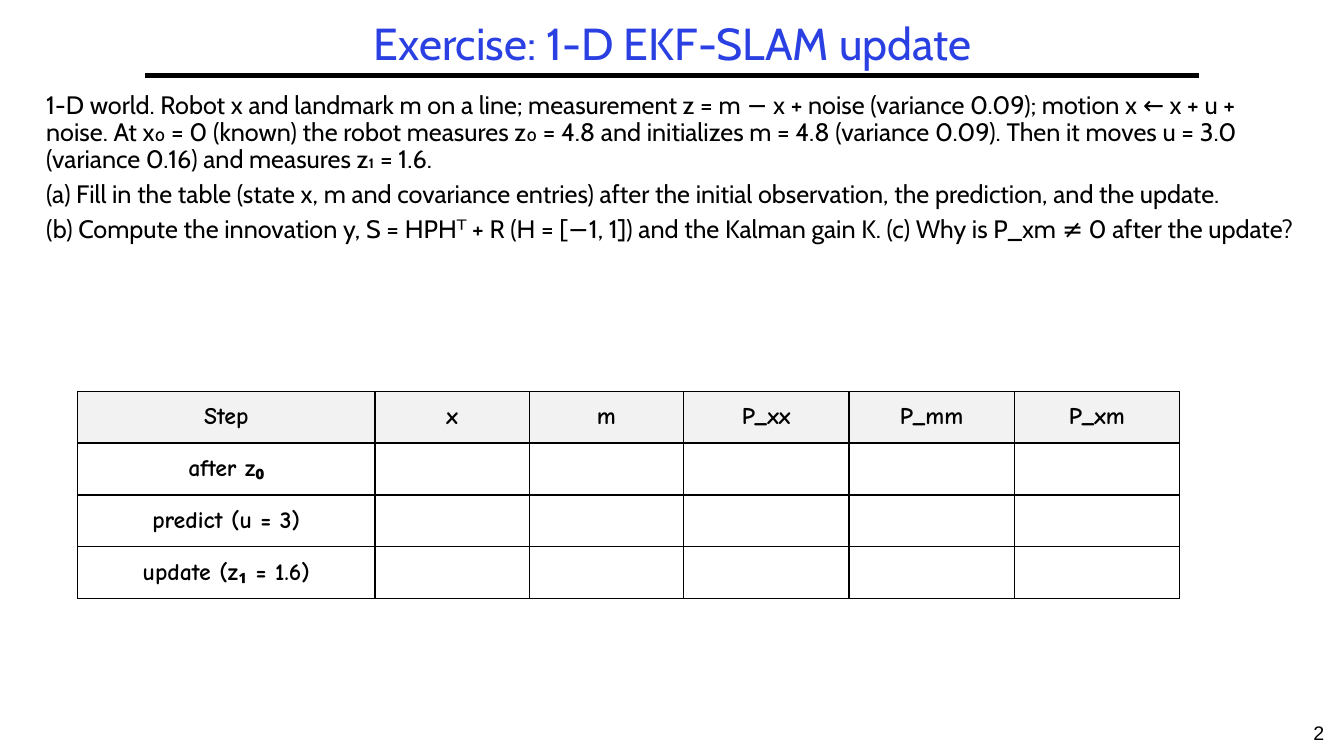
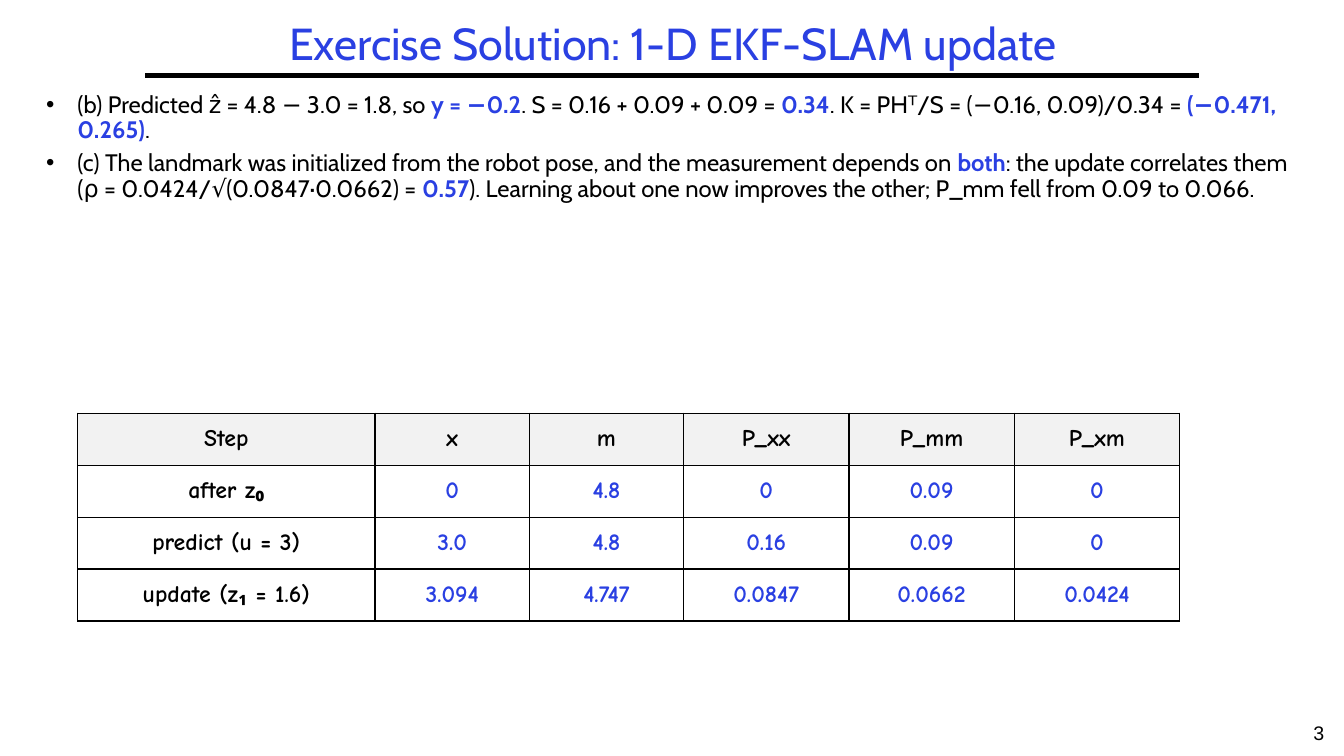
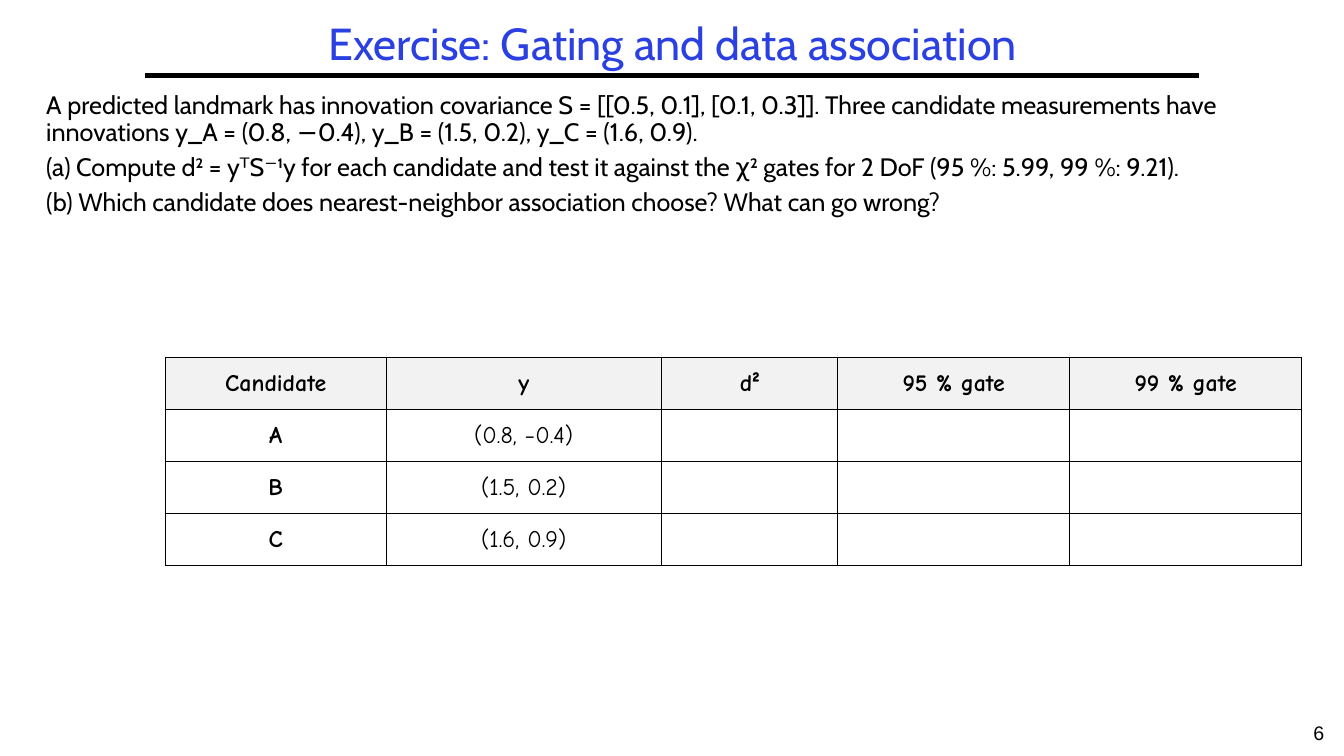
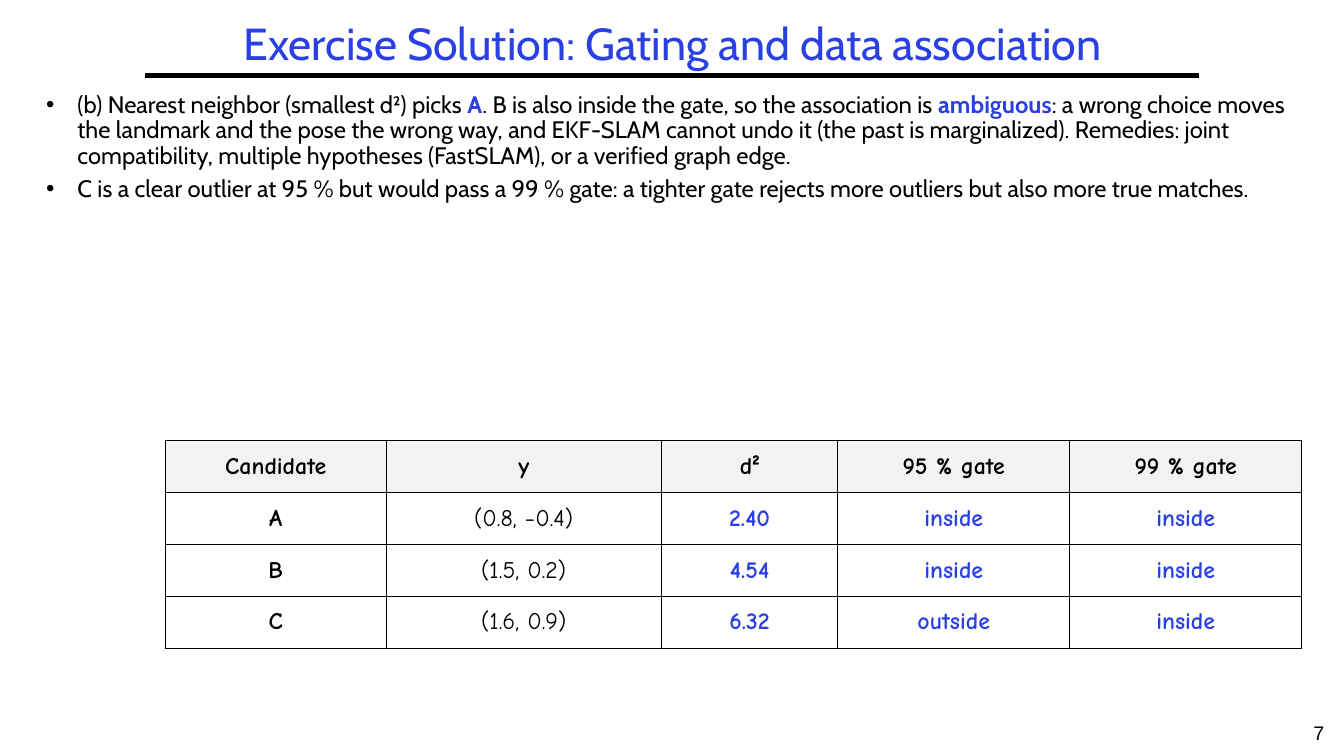
from dataclasses import dataclass

from lxml.etree import SubElement
from pptx import Presentation
from pptx.dml.color import RGBColor
from pptx.enum.shapes import MSO_CONNECTOR as Connector
from pptx.enum.text import MSO_ANCHOR as Anchor, PP_ALIGN as Align
from pptx.oxml.ns import qn
from pptx.util import Inches, Pt


@dataclass(frozen=True)
class Theme:
    ink: RGBColor = RGBColor.from_string("000000")
    accent: RGBColor = RGBColor.from_string("2A40E2")
    header_fill: RGBColor = RGBColor.from_string("F2F2F2")
    main_font: str = "Cabin"
    table_font: str = "Comic Neue"
    number_font: str = "Arial"
    title_size: int = 32
    question_size: int = 18
    solution_size: int = 17
    table_size: int = 17
    number_size: int = 14
    line_spacing: float = 0.9
    space_before: float = 0.3
    bullet_indent: float = 0.31
    rule_width: int = 3
    border_width: int = 1


@dataclass(frozen=True)
class TableLayout:
    left: float
    widths: tuple
    header: tuple
    labels: tuple
    plain_columns: tuple = ()
    height: float = 2.06


THEME = Theme()
TITLE_BOX = (1.44, 0.17, 10.47, 0.58)
NUMBER_BOX = (12.83, 7.1, 0.5, 0.4)
RULE = (1.44, 0.75, 11.89, 0.75)
BODY_LEFT, BODY_TOP, BODY_WIDTH = 0.36, 0.87, 12.58

UPDATE_TABLE = TableLayout(
    left=0.77,
    widths=(2.95, 1.53, 1.53, 1.64, 1.64, 1.64),
    header=("Step", "x", "m", "P_xx", "P_mm", "P_xm"),
    labels=(("after z₀",), ("predict (u = 3)",), ("update (z₁ = 1.6)",)),
)
GATING_TABLE = TableLayout(
    left=1.64,
    widths=(2.19, 2.73, 1.75, 2.3, 2.3),
    header=("Candidate", "y", "d²", "95 % gate", "99 % gate"),
    labels=(("A", "(0.8, −0.4)"), ("B", "(1.5, 0.2)"), ("C", "(1.6, 0.9)")),
    plain_columns=(1,),
)

SLIDES = (
    dict(
        number=2,
        title="Exercise: 1-D EKF-SLAM update",
        body=(
            "1-D world. Robot x and landmark m on a line; measurement z = m − x + noise "
            "(variance 0.09); motion x ← x + u + noise. At x₀ = 0 (known) the robot measures "
            "z₀ = 4.8 and initializes m = 4.8 (variance 0.09). Then it moves u = 3.0 "
            "(variance 0.16) and measures z₁ = 1.6.",
            "(a) Fill in the table (state x, m and covariance entries) after the initial "
            "observation, the prediction, and the update.",
            "(b) Compute the innovation y, S = HPHᵀ + R (H = [−1, 1]) and the Kalman gain K. "
            "(c) Why is P_xm ≠ 0 after the update?",
        ),
        body_height=2.95,
        layout=UPDATE_TABLE,
        table_top=3.88,
    ),
    dict(
        number=3,
        title="Exercise Solution: 1-D EKF-SLAM update",
        body=(
            "(b) Predicted ẑ = 4.8 − 3.0 = 1.8, so *y = −0.2*. S = 0.16 + 0.09 + 0.09 = *0.34*. "
            "K = PHᵀ/S = (−0.16, 0.09)/0.34 = *(−0.471, 0.265)*.",
            "(c) The landmark was initialized from the robot pose, and the measurement depends "
            "on *both*: the update correlates them (ρ = 0.0424/√(0.0847·0.0662) = *0.57*). "
            "Learning about one now improves the other; P_mm fell from 0.09 to 0.066.",
        ),
        body_height=3.06,
        layout=UPDATE_TABLE,
        table_top=4.1,
        answers=(
            ("0", "4.8", "0", "0.09", "0"),
            ("3.0", "4.8", "0.16", "0.09", "0"),
            ("3.094", "4.747", "0.0847", "0.0662", "0.0424"),
        ),
    ),
    dict(
        number=6,
        title="Exercise: Gating and data association",
        body=(
            "A predicted landmark has innovation covariance S = [[0.5, 0.1], [0.1, 0.3]]. Three "
            "candidate measurements have innovations y_A = (0.8, −0.4), y_B = (1.5, 0.2), "
            "y_C = (1.6, 0.9).",
            "(a) Compute d² = yᵀS⁻¹y for each candidate and test it against the χ² gates for "
            "2 DoF (95 %: 5.99, 99 %: 9.21).",
            "(b) Which candidate does nearest-neighbor association choose? What can go wrong?",
        ),
        body_height=2.52,
        layout=GATING_TABLE,
        table_top=3.55,
    ),
    dict(
        number=7,
        title="Exercise Solution: Gating and data association",
        body=(
            "(b) Nearest neighbor (smallest d²) picks *A*. B is also inside the gate, so the "
            "association is *ambiguous*: a wrong choice moves the landmark and the pose the "
            "wrong way, and EKF-SLAM cannot undo it (the past is marginalized). Remedies: joint "
            "compatibility, multiple hypotheses (FastSLAM), or a verified graph edge.",
            "C is a clear outlier at 95 % but would pass a 99 % gate: a tighter gate rejects "
            "more outliers but also more true matches.",
        ),
        body_height=3.39,
        layout=GATING_TABLE,
        table_top=4.37,
        answers=(
            ("2.40", "inside", "inside"),
            ("4.54", "inside", "inside"),
            ("6.32", "outside", "inside"),
        ),
    ),
)


def add_run(paragraph, text, font_name, size, color, bold=False):
    run = paragraph.add_run()
    run.text = text
    run.font.name = font_name
    run.font.size = Pt(size)
    run.font.color.rgb = color
    run.font.bold = bold


def add_text_frame(slide, box, anchor=Anchor.TOP):
    frame = slide.shapes.add_textbox(*map(Inches, box)).text_frame
    frame.word_wrap = True
    frame.vertical_anchor = anchor
    return frame


def add_bullet(paragraph):
    properties = paragraph._p.get_or_add_pPr()
    indent = Inches(THEME.bullet_indent)
    properties.set("marL", str(indent))
    properties.set("indent", str(-indent))
    SubElement(properties, qn("a:buFont"), typeface=THEME.number_font)
    SubElement(properties, qn("a:buChar"), char="•")


def add_title(slide, box, title):
    paragraph = add_text_frame(slide, box, Anchor.MIDDLE).paragraphs[0]
    paragraph.alignment = Align.CENTER
    paragraph.line_spacing = THEME.line_spacing
    add_run(paragraph, title, THEME.main_font, THEME.title_size, THEME.accent)


def add_rule(slide, ends):
    rule = slide.shapes.add_connector(Connector.STRAIGHT, *map(Inches, ends))
    rule.line.color.rgb = THEME.ink
    rule.line.width = Pt(THEME.rule_width)
    SubElement(rule._element.spPr, qn("a:effectLst"))


def add_page_number(slide, box, number):
    paragraph = add_text_frame(slide, box).paragraphs[0]
    paragraph.alignment = Align.CENTER
    add_run(paragraph, str(number), THEME.number_font, THEME.number_size, THEME.ink)


def add_body(slide, box, texts, bulleted):
    frame = add_text_frame(slide, box)
    size = THEME.solution_size if bulleted else THEME.question_size
    for index, text in enumerate(texts):
        paragraph = frame.add_paragraph() if index else frame.paragraphs[0]
        if bulleted:
            add_bullet(paragraph)
        paragraph.line_spacing = THEME.line_spacing
        if index:
            paragraph.space_before = Pt(size * THEME.space_before)
        for part, piece in enumerate(text.split("*")):
            strong = part % 2 == 1
            color = THEME.accent if strong else THEME.ink
            add_run(paragraph, piece, THEME.main_font, size, color, strong)


def add_borders(cell):
    properties = cell._tc.get_or_add_tcPr()
    for side in ("lnL", "lnR", "lnT", "lnB"):
        line = SubElement(properties, qn(f"a:{side}"), w=str(Pt(THEME.border_width)))
        fill = SubElement(line, qn("a:solidFill"))
        SubElement(fill, qn("a:srgbClr"), val=str(THEME.ink))


def style_cell(cell, is_header):
    cell.vertical_anchor = Anchor.MIDDLE
    cell.margin_left = cell.margin_right = Inches(0.07)
    cell.margin_top = cell.margin_bottom = Inches(0.03)
    add_borders(cell)
    if is_header:
        cell.fill.solid()
        cell.fill.fore_color.rgb = THEME.header_fill
    else:
        cell.fill.background()


def add_result_table(slide, layout, top, answers):
    blanks = ("",) * (len(layout.header) - len(layout.labels[0]))
    rows = [layout.header]
    for index, labels in enumerate(layout.labels):
        rows.append(labels + (answers[index] if answers else blanks))
    box = (layout.left, top, sum(layout.widths), layout.height)
    table = slide.shapes.add_table(len(rows), len(layout.header), *map(Inches, box)).table
    table.first_row = table.horz_banding = False
    for column, width in zip(table.columns, layout.widths):
        column.width = Inches(width)
    for row_index, values in enumerate(rows):
        is_header = row_index == 0
        for column_index, value in enumerate(values):
            cell = table.cell(row_index, column_index)
            style_cell(cell, is_header)
            paragraph = cell.text_frame.paragraphs[0]
            paragraph.alignment = Align.CENTER
            if value:
                is_answer = not is_header and column_index >= len(layout.labels[0])
                color = THEME.accent if is_answer else THEME.ink
                bold = is_header or column_index not in layout.plain_columns
                add_run(paragraph, value, THEME.table_font, THEME.table_size, color, bold)


def add_exercise_slide(presentation, number, title, body, body_height, layout, table_top, answers=()):
    slide = presentation.slides.add_slide(presentation.slide_layouts[6])
    add_rule(slide, RULE)
    add_page_number(slide, NUMBER_BOX, number)
    add_title(slide, TITLE_BOX, title)
    body_box = (BODY_LEFT, BODY_TOP, BODY_WIDTH, body_height)
    add_body(slide, body_box, body, bulleted=bool(answers))
    add_result_table(slide, layout, table_top, answers)


def main():
    presentation = Presentation()
    presentation.slide_width = Inches(13.33)
    presentation.slide_height = Inches(7.5)
    for content in SLIDES:
        add_exercise_slide(presentation, **content)
    presentation.save("out.pptx")


if __name__ == "__main__":
    main()
